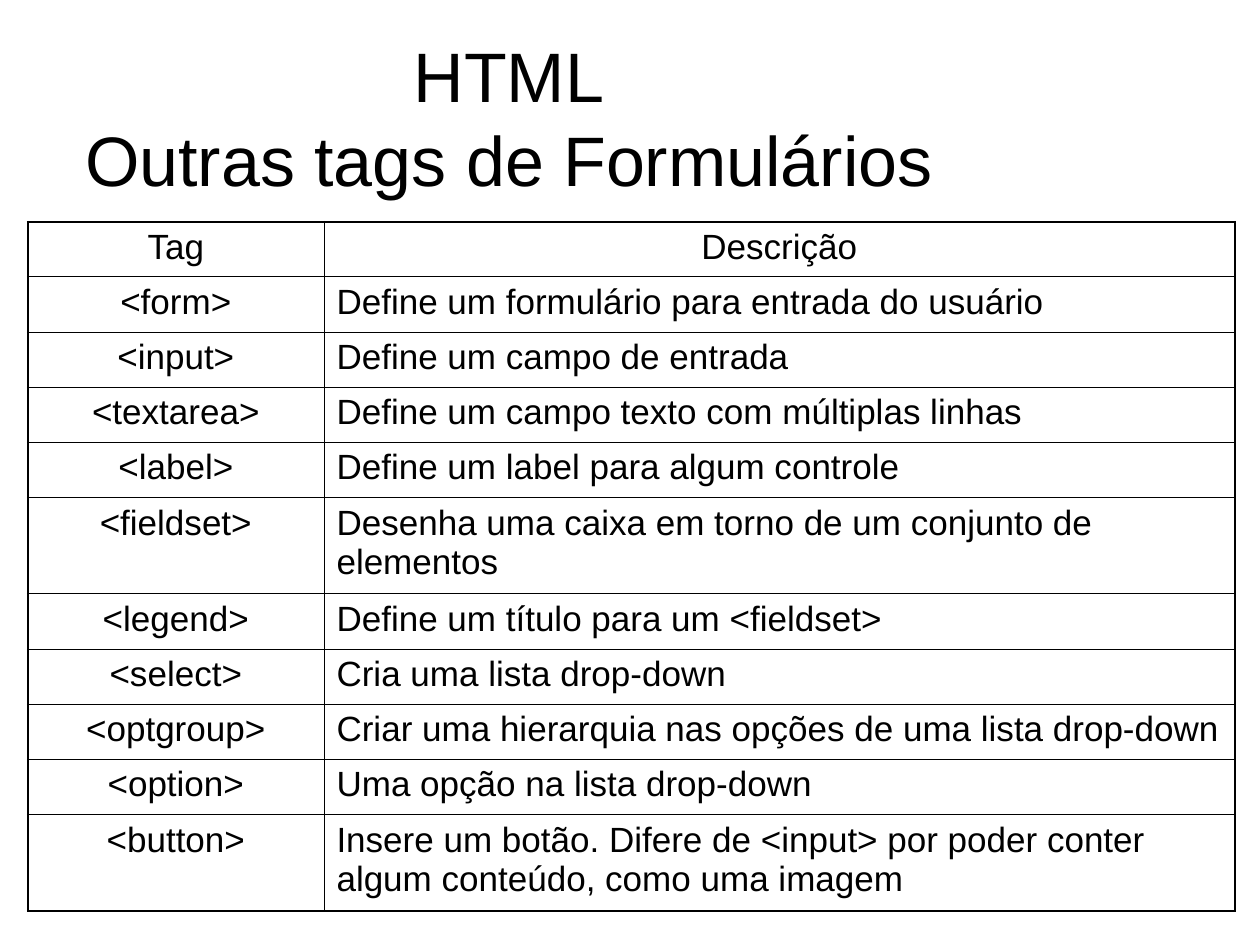
from typing import NamedTuple

import pptx
import pptx.dml.color
import pptx.enum.text
import pptx.oxml
import pptx.oxml.ns
import pptx.util
from pptx.util import Cm, Pt

BLACK = pptx.dml.color.RGBColor(0, 0, 0)
ALIGN = pptx.enum.text.PP_ALIGN
ANCHOR = pptx.enum.text.MSO_ANCHOR
THIN, THICK = Pt(0.45), Pt(1.08)
LINE_HEIGHT, TWO_LINE_HEIGHT = Cm(1.11), Cm(1.95)
COLUMN_WIDTHS = (Cm(5.97), Cm(18.36))


class TagRow(NamedTuple):
    tag: str
    description: str
    height: int = LINE_HEIGHT


ROWS = [
    TagRow("Tag", "Descrição"),
    TagRow("<form>", "Define um formulário para entrada do usuário"),
    TagRow("<input>", "Define um campo de entrada"),
    TagRow("<textarea>", "Define um campo texto com múltiplas linhas"),
    TagRow("<label>", "Define um label para algum controle"),
    TagRow("<fieldset>", "Desenha uma caixa em torno de um conjunto de elementos", TWO_LINE_HEIGHT),
    TagRow("<legend>", "Define um título para um <fieldset>"),
    TagRow("<select>", "Cria uma lista drop-down"),
    TagRow("<optgroup>", "Criar uma hierarquia nas opções de uma lista drop-down"),
    TagRow("<option>", "Uma opção na lista drop-down"),
    TagRow(
        "<button>",
        "Insere um botão. Difere de <input> por poder conter algum conteúdo, como uma imagem",
        TWO_LINE_HEIGHT,
    ),
]


def write_text(text_frame, text: str, *, size: int, align=ALIGN.CENTER, line_spacing=None) -> None:
    """Fill the frame with one paragraph; a vertical tab makes a line break."""
    text_frame.word_wrap = True
    paragraph = text_frame.paragraphs[0]
    paragraph.text = text
    paragraph.alignment = align
    paragraph.line_spacing = line_spacing
    for run in paragraph.runs:
        run.font.name = "Arial"
        run.font.size = Pt(size)
        run.font.color.rgb = BLACK


def set_borders(cell, **widths: int) -> None:
    """Draw black borders; the sides are given as L, R, T and B, in that order."""
    properties = cell._tc.get_or_add_tcPr()
    for index, (side, width) in enumerate(widths.items()):
        border = pptx.oxml.parse_xml(
            f'<a:ln{side} {pptx.oxml.ns.nsdecls("a")} w="{int(width)}">'
            f'<a:solidFill><a:srgbClr val="{BLACK}"/></a:solidFill></a:ln{side}>'
        )
        properties.insert(index, border)


def add_title(slide) -> None:
    title = slide.shapes.add_textbox(Cm(1.27), Cm(0.76), Cm(17.98), Cm(3.18))
    title.text_frame.vertical_anchor = ANCHOR.MIDDLE
    write_text(title.text_frame, "HTML\vOutras tags de Formulários", size=40)


def add_tag_table(slide) -> None:
    table = slide.shapes.add_table(
        len(ROWS), len(COLUMN_WIDTHS), Cm(0.56), Cm(4.47),
        sum(COLUMN_WIDTHS), sum(row.height for row in ROWS),
    ).table
    table.first_row = False
    table.horz_banding = False
    for column, width in zip(table.columns, COLUMN_WIDTHS):
        column.width = width

    last_row = len(ROWS) - 1
    for row_index, row in enumerate(ROWS):
        table.rows[row_index].height = row.height
        for column_index, text in enumerate((row.tag, row.description)):
            cell = table.cell(row_index, column_index)
            cell.fill.background()
            centred = row_index == 0 or column_index == 0
            write_text(cell.text_frame, text, size=20, align=ALIGN.CENTER if centred else ALIGN.LEFT)
            set_borders(
                cell,
                L=THICK if column_index == 0 else THIN,
                R=THICK if column_index == 1 else THIN,
                T=THICK if row_index == 0 else THIN,
                B=THICK if row_index == last_row else THIN,
            )


def main() -> None:
    presentation = pptx.Presentation()
    presentation.slide_width = Cm(25.4)
    presentation.slide_height = Cm(19.05)
    slide = presentation.slides.add_slide(presentation.slide_layouts[6])
    add_title(slide)
    add_tag_table(slide)
    presentation.save("out.pptx")


if __name__ == "__main__":
    main()
